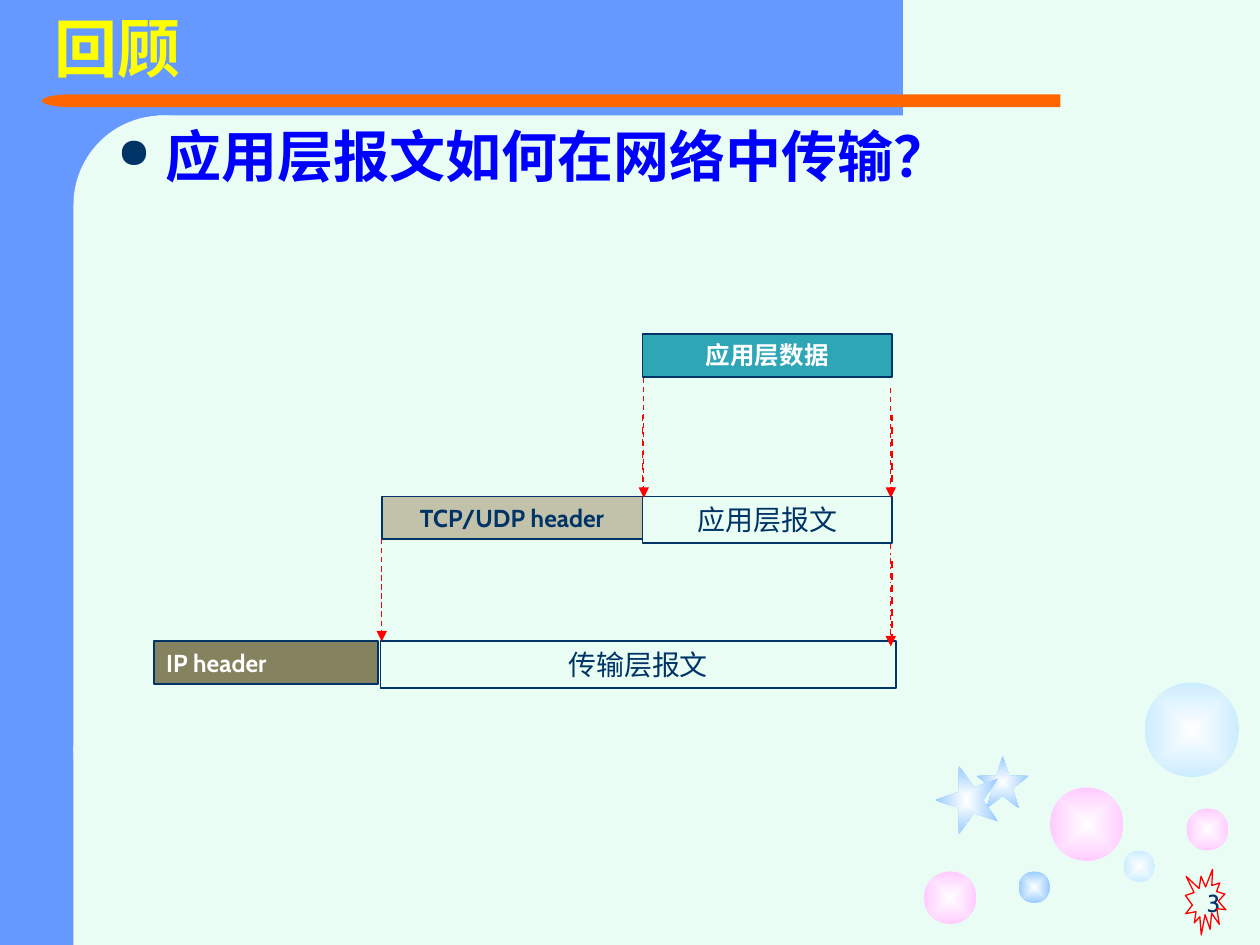
from lxml import etree
from pptx import Presentation, util as u
from pptx.dml.color import RGBColor
from pptx.enum import dml, shapes, text
from pptx.oxml import ns

COLUMNS, ROWS = 120, 90
CELL = u.Inches(10) // COLUMNS
KIND = shapes.MSO_SHAPE
BLUE, PAPER, NAVY, RED, WHITE = "6699FF", "E9FDF4", "003366", "FF0000", "FFFFFF"
PINK, PALE, SKY = "FFCCFF", "CCECFF", "99CCFF"
STAR = [(0, .38), (.38, .38), (.5, 0), (.62, .38), (1, .38),
        (.69, .62), (.81, 1), (.5, .76), (.19, 1), (.31, .62)]


def color(value):
    """Turn a hex string into a colour."""
    return RGBColor.from_string(value)


def cells(*values):
    """Turn grid cells into lengths."""
    return [u.Emu(round(value * CELL)) for value in values]


def assign(target, values):
    """Set each named attribute on the target."""
    for name, value in values.items():
        setattr(target, name, value)


def add_xml(parent, tag, **attributes):
    """Append a drawing element and return it."""
    return etree.SubElement(parent, ns.qn(tag), attributes)


def paint(shape, fill=None, outline=None, weight=1):
    """Give a shape its flat fill and outline, without shadow."""
    shape.shadow.inherit = False
    if fill:
        shape.fill.solid()
        shape.fill.fore_color.rgb = color(fill)
    else:
        shape.fill.background()
    if outline:
        shape.line.color.rgb = color(outline)
        shape.line.width = u.Pt(weight)
    else:
        shape.line.fill.background()


def glow(shape, rim):
    """Fill a shape from a white centre to the rim colour."""
    paint(shape)
    shape.fill.gradient()
    for stop, value in zip(shape.fill.gradient_stops, (WHITE, rim)):
        stop.color.rgb = color(value)
    gradient = shape._element.spPr.find(ns.qn("a:gradFill"))
    gradient.remove(gradient.find(ns.qn("a:lin")))
    path = add_xml(gradient, "a:path", path="rect")
    add_xml(path, "a:fillToRect", l="50000", t="50000", r="50000", b="50000")


def add_block(slide, kind, box, **look):
    """Add a preset shape at a box of grid cells."""
    shape = slide.shapes.add_shape(kind, *cells(*box))
    paint(shape, **look)
    return shape


def write(shape, wording, font, size, ink, bold=False, align="LEFT", anchor="TOP"):
    """Put one formatted paragraph into a shape."""
    frame = shape.text_frame
    assign(frame, {"word_wrap": True,
                   "vertical_anchor": getattr(text.MSO_ANCHOR, anchor)})
    paragraph = frame.paragraphs[0]
    paragraph.alignment = getattr(text.PP_ALIGN, align)
    run = paragraph.add_run()
    run.text = wording
    assign(run.font, {"name": font, "size": u.Pt(size), "bold": bold})
    run.font.color.rgb = color(ink)
    return paragraph


def add_backdrop(slide, box):
    """Draw the blue corner with its rounded inner edge and the orange bar."""
    left, top, width, height = box
    add_block(slide, KIND.RECTANGLE, (left, top, 15, height), fill=BLUE)
    add_block(slide, KIND.RECTANGLE, (left + 6, top, 80, 11), fill=BLUE)
    corner = add_block(slide, KIND.ROUNDED_RECTANGLE,
                       (left + 7, top + 11, 17, 69), fill=PAPER)
    corner.adjustments[0] = .5
    add_block(slide, KIND.RECTANGLE, (left + 9, top + 9, 92, 1.2), fill="FF6600")
    tip = add_block(slide, KIND.FLOWCHART_DELAY,
                    (left + 4, top + 9, 5.16, 1.2), fill="FF6600")
    tip._element.spPr.get_or_add_xfrm().set("flipH", "1")
    add_block(slide, KIND.RECTANGLE, (left + 7, top + 71, 17, height - 71), fill=PAPER)


def add_star(slide, box, rotation):
    """Draw a glowing five-pointed star."""
    left, top, width, height = box
    points = [cells(left + x * width, top + y * height) for x, y in STAR]
    builder = slide.shapes.build_freeform(*points[0])
    builder.add_line_segments(points[1:], close=True)
    star = builder.convert_to_shape()
    glow(star, SKY)
    star.rotation = rotation


def add_bubbles(slide, box):
    """Scatter bubbles and stars in the lower right corner."""
    left, top = box[:2]
    bubbles = [(12, 10, 7, PINK), (0, 18, 5, PINK), (19, 16, 3, PALE),
               (25, 12, 4, PINK), (21, 0, 9, PALE), (9, 18, 3, SKY)]
    for x, y, size, rim in bubbles:
        glow(add_block(slide, KIND.OVAL, (left + x, top + y, size, size)), rim)
    add_star(slide, (left + 5, top + 7, 5, 5), 0)
    add_star(slide, (left + .8, top + 8.2, 6.5, 6), 270)


def add_heading(slide, box):
    """Write the slide title."""
    title = slide.shapes.add_textbox(*cells(*box))
    write(title, "回顾", "Arial", 36, "FFFF00", True, anchor="MIDDLE").line_spacing = .9


def add_question(slide, box):
    """Write the bulleted question."""
    body = slide.shapes.add_textbox(*cells(*box))
    paragraph = write(body, "应用层报文如何在网络中传输？", "Arial", 32, "0000FF", True)
    properties = paragraph._p.get_or_add_pPr()
    indent = u.Inches(.38)
    properties.set("marL", str(indent))
    properties.set("indent", str(-indent))
    add_xml(add_xml(properties, "a:buClr"), "a:srgbClr", val=NAVY)
    add_xml(properties, "a:buSzPct", val="75000")
    add_xml(properties, "a:buChar", char="●")


def add_drop(slide, x, start, end, weight, dash, arrow):
    """Draw a dashed red vertical line, with an arrowhead if asked."""
    x, start, end = cells(x, start, end)
    drop = slide.shapes.add_connector(shapes.MSO_CONNECTOR.STRAIGHT, x, start, x, end)
    drop.line.color.rgb = color(RED)
    assign(drop.line, {"width": u.Pt(weight), "dash_style": dash})
    if arrow:
        add_xml(drop.line._get_or_add_ln(), "a:tailEnd", type="triangle")
    add_xml(drop._element.spPr, "a:effectLst")


def add_encapsulation(slide, box):
    """Draw the layers of headers and data with the drops between them."""
    left, top, width, height = box
    transport, tcp, app, edge = 21.6, 21.72, 46.56, 70.32
    segment, packet = 15.48, 29.28
    low, tall = 4.08, 4.44
    label = {"font": "Cabin", "size": 14, "bold": True}
    message = {"font": "Arial", "size": 16, "ink": NAVY, "align": "CENTER"}
    blocks = [
        (0, packet, 21.36, low, "85835F", "IP header", {**label, "ink": WHITE}),
        (transport, packet, width - transport, tall, None, "传输层报文", message),
        (tcp, segment, app - tcp, low, "C2C1AA", "TCP/UDP header",
         {**label, "ink": NAVY, "align": "CENTER"}),
        (app, segment, edge - app, tall, None, "应用层报文", message),
        (app, 0, edge - app, low, "2EA6B6", "应用层数据",
         {**label, "ink": WHITE, "align": "CENTER"}),
    ]
    for x, y, wide, high, fill, wording, form in blocks:
        block = add_block(slide, KIND.RECTANGLE, (left + x, top + y, wide, high),
                          fill=fill, outline=NAVY)
        write(block, wording, **form)
        block.text_frame.auto_size = text.MSO_AUTO_SIZE.SHAPE_TO_FIT_TEXT
    dash, dash_dot = dml.MSO_LINE.DASH, dml.MSO_LINE.DASH_DOT
    drops = [(app, 7.68, segment, 1, dash, False),
             (edge, 7.68, segment, 1, dash, False),
             (edge, 21.6, packet, 1, dash, False),
             (app + .12, 4.2, segment + .12, .75, dash, True),
             (edge - .12, 5.16, segment + .12, .75, dash, True),
             (tcp, segment + low, packet, .75, dash, True),
             (edge - .12, 20.04, packet + .48, .75, dash_dot, True)]
    for x, start, end, *form in drops:
        add_drop(slide, left + x, top + start, top + end, *form)


def add_page_number(slide, box):
    """Write the page number and the burst around it."""
    left, top, width, height = box
    number = slide.shapes.add_textbox(*cells(*box))
    write(number, "3", "Cabin", 14, NAVY, align="RIGHT", anchor="BOTTOM")
    add_block(slide, KIND.EXPLOSION1, (left + 20.5, top + .8, 3.84, 6.24),
              outline=RED, weight=.75)


def main():
    """Build the slide and save it."""
    deck = Presentation()
    assign(deck, {"slide_width": COLUMNS * CELL, "slide_height": ROWS * CELL})
    slide = deck.slides.add_slide(deck.slide_layouts[6])
    slide.background.fill.solid()
    slide.background.fill.fore_color.rgb = color(PAPER)
    add_backdrop(slide, (0, 0, COLUMNS, ROWS))
    add_bubbles(slide, (88, 65, 30, 23))
    add_heading(slide, (4, 0, 101, 10))
    add_question(slide, (10, 11, 105, 69))
    add_encapsulation(slide, (14.64, 31.8, 70.68, 33.72))
    add_page_number(slide, (92.4, 82, 25, 6))
    deck.save("out.pptx")


if __name__ == "__main__":
    main()
